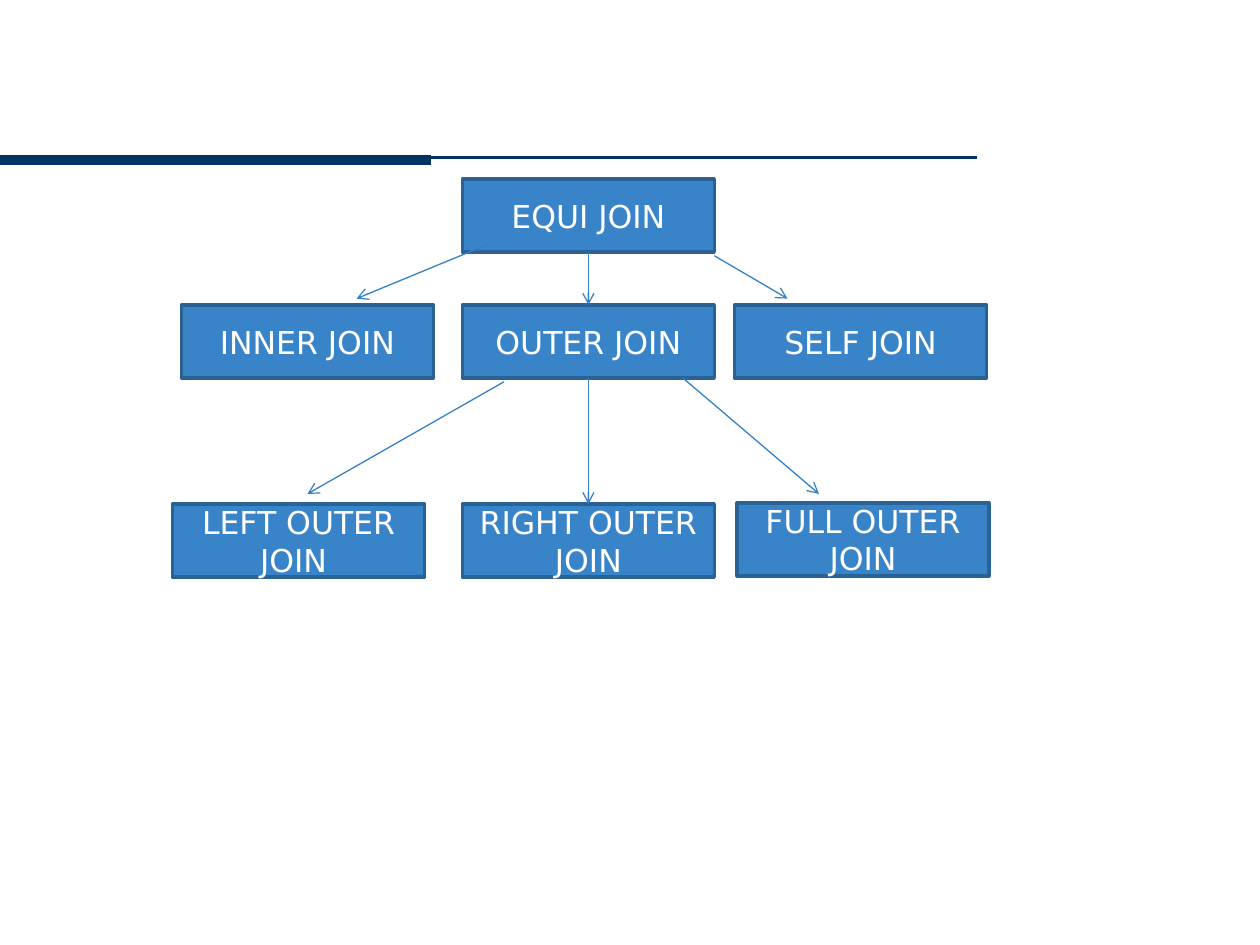
from pptx import Presentation
from pptx.dml.color import RGBColor
from pptx.enum.shapes import MSO_CONNECTOR, MSO_SHAPE
from pptx.enum.text import MSO_ANCHOR, PP_ALIGN
from pptx.oxml.ns import qn
from pptx.util import Inches, Pt
from lxml import etree

STRAIGHT = MSO_CONNECTOR.STRAIGHT
RECTANGLE = MSO_SHAPE.RECTANGLE
MIDDLE = MSO_ANCHOR.MIDDLE
CENTER = PP_ALIGN.CENTER
NAVY = RGBColor(0x00, 0x33, 0x66)
BOX_FILL = RGBColor(0x39, 0x84, 0xC9)
BOX_LINE = RGBColor(0x2A, 0x62, 0x95)
ARROW = RGBColor(0x34, 0x81, 0xC8)
WHITE = RGBColor(0xFF, 0xFF, 0xFF)
FONT = "DejaVu Sans"
BOX_W, BOX_H = 2, 0.58
TOP, BOTTOM = 0, 2


def add_line(s, start, end, color, width, arrow=False):
    c = s.shapes.add_connector(STRAIGHT, *(Inches(v) for v in (*start, *end)))
    c.line.color.rgb = color
    c.line.width = Pt(width)
    sp_pr = c._element.spPr
    if arrow:
        etree.SubElement(sp_pr.find(qn("a:ln")), qn("a:tailEnd"), type="arrow")
    etree.SubElement(sp_pr, qn("a:effectLst"))
    return c


def add_box(s, text, left, top):
    sp = s.shapes.add_shape(RECTANGLE, Inches(left), Inches(top),
                            Inches(BOX_W), Inches(BOX_H))
    sp.shadow.inherit = False
    sp.fill.solid()
    sp.fill.fore_color.rgb = BOX_FILL
    sp.line.color.rgb = BOX_LINE
    sp.line.width = Pt(2)
    tf = sp.text_frame
    tf.word_wrap = True
    tf.vertical_anchor = MIDDLE
    p = tf.paragraphs[0]
    p.alignment = CENTER
    r = p.add_run()
    r.text = text
    r.font.size = Pt(18)
    r.font.name = FONT
    r.font.color.rgb = WHITE
    return sp


def add_header_rule(s, left, top, width):
    add_line(s, (left + width, top), (left, top), NAVY, 1.5)
    add_line(s, (left, top + 0.02), (left + 3.42, top + 0.02), NAVY, 6)


def add_join_tree(s, left, top):
    def at(x, y):
        return left + x, top + y

    equi = add_box(s, "EQUI JOIN", *at(2.3, 0))
    add_box(s, "INNER JOIN", *at(0.07, 1))
    outer = add_box(s, "OUTER JOIN", *at(2.3, 1))
    add_box(s, "LEFT OUTER JOIN ", *at(0, 2.58))
    right = add_box(s, "RIGHT OUTER JOIN", *at(2.3, 2.58))
    add_box(s, "FULL OUTER JOIN", *at(4.48, 2.57))

    branches = [
        ((2.55, 0.5), (1.46, 0.95)),
        ((4.3, 0.61), (4.88, 0.95)),
        ((2.63, 1.61), (1.07, 2.5)),
        ((4.05, 1.58), (5.13, 2.5)),
    ]
    for start, end in branches:
        add_line(s, at(*start), at(*end), ARROW, 0.75, arrow=True)

    add_box(s, "SELF JOIN", *at(4.46, 1))

    for parent, child, y, end_y in ((equi, outer, BOX_H, 1),
                                    (outer, right, 1 + BOX_H, 2.58)):
        c = add_line(s, at(3.3, y), at(3.3, end_y), ARROW, 0.75, arrow=True)
        c.begin_connect(parent, BOTTOM)
        c.end_connect(child, TOP)


def main():
    prs = Presentation()
    prs.slide_width = Inches(10)
    prs.slide_height = Inches(7.5)
    s = prs.slides.add_slide(prs.slide_layouts[6])
    add_header_rule(s, 0, 1.25, 7.75)
    add_join_tree(s, 1.37, 1.42)
    prs.save("out.pptx")


if __name__ == "__main__":
    main()
